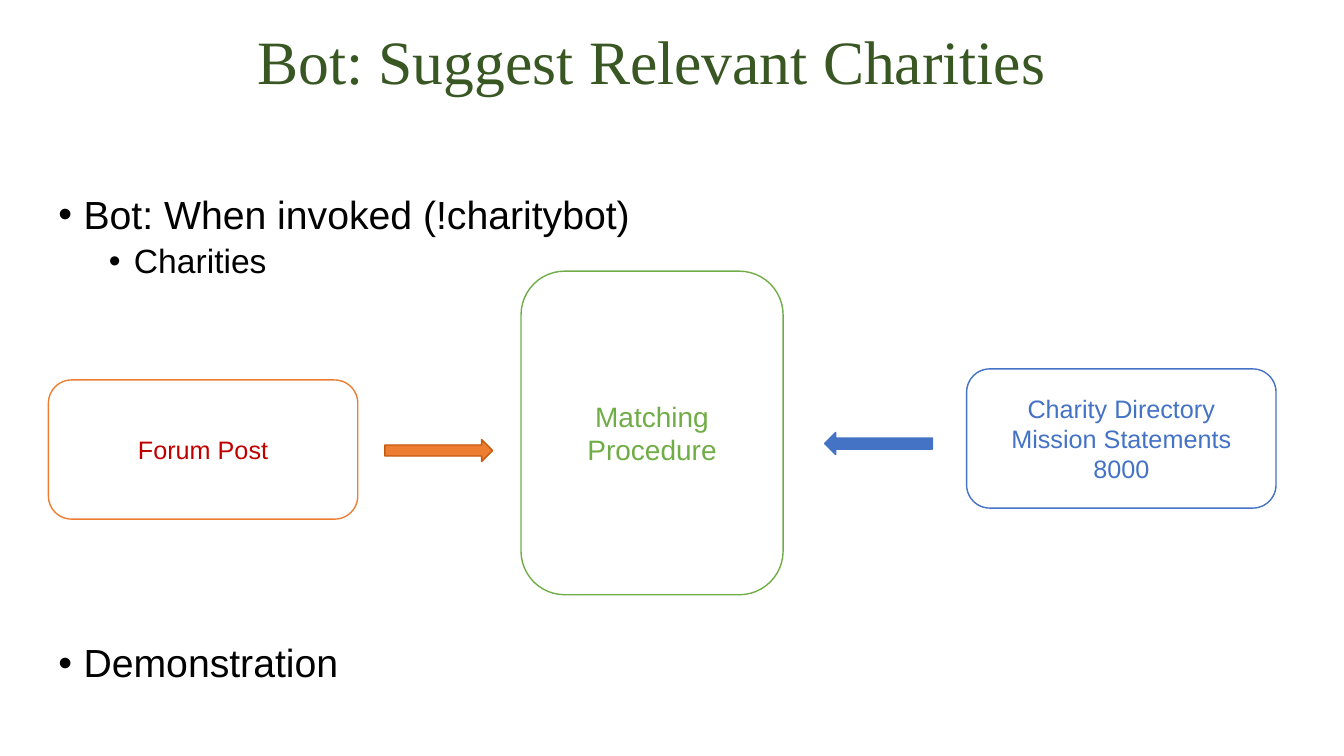
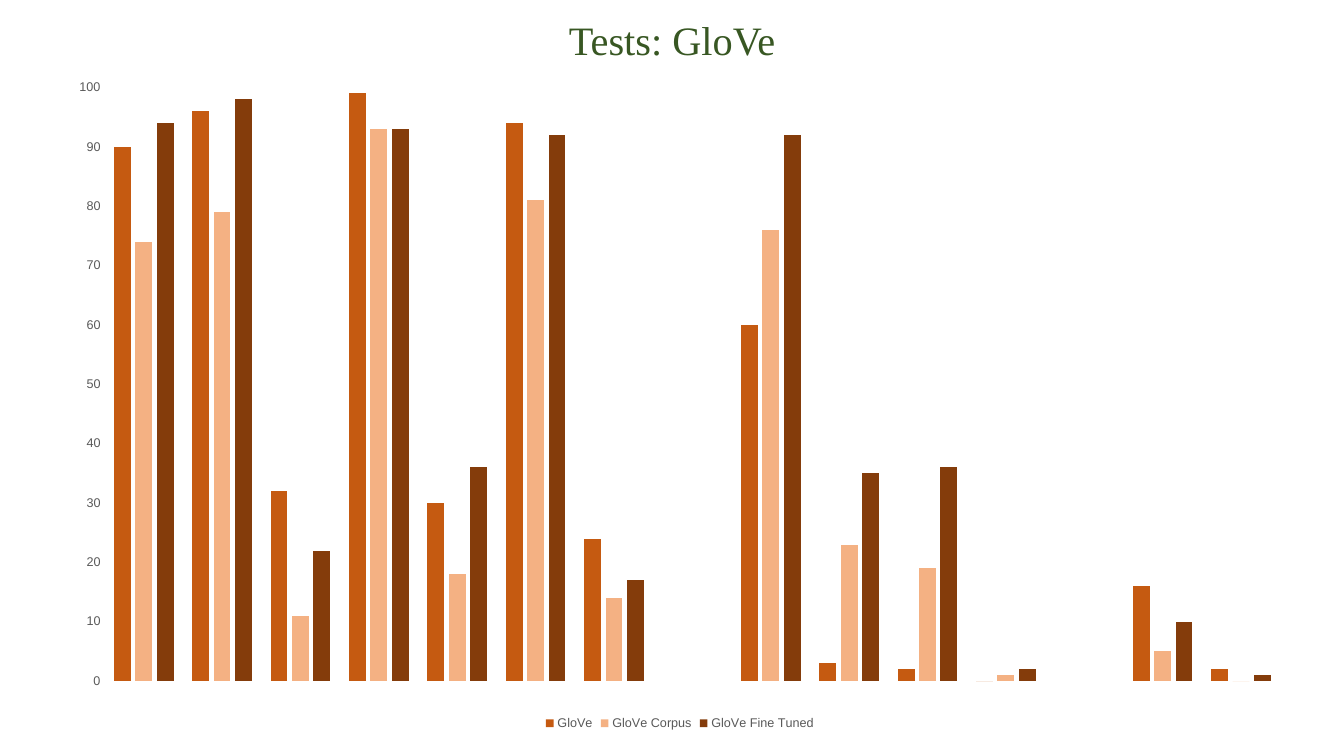
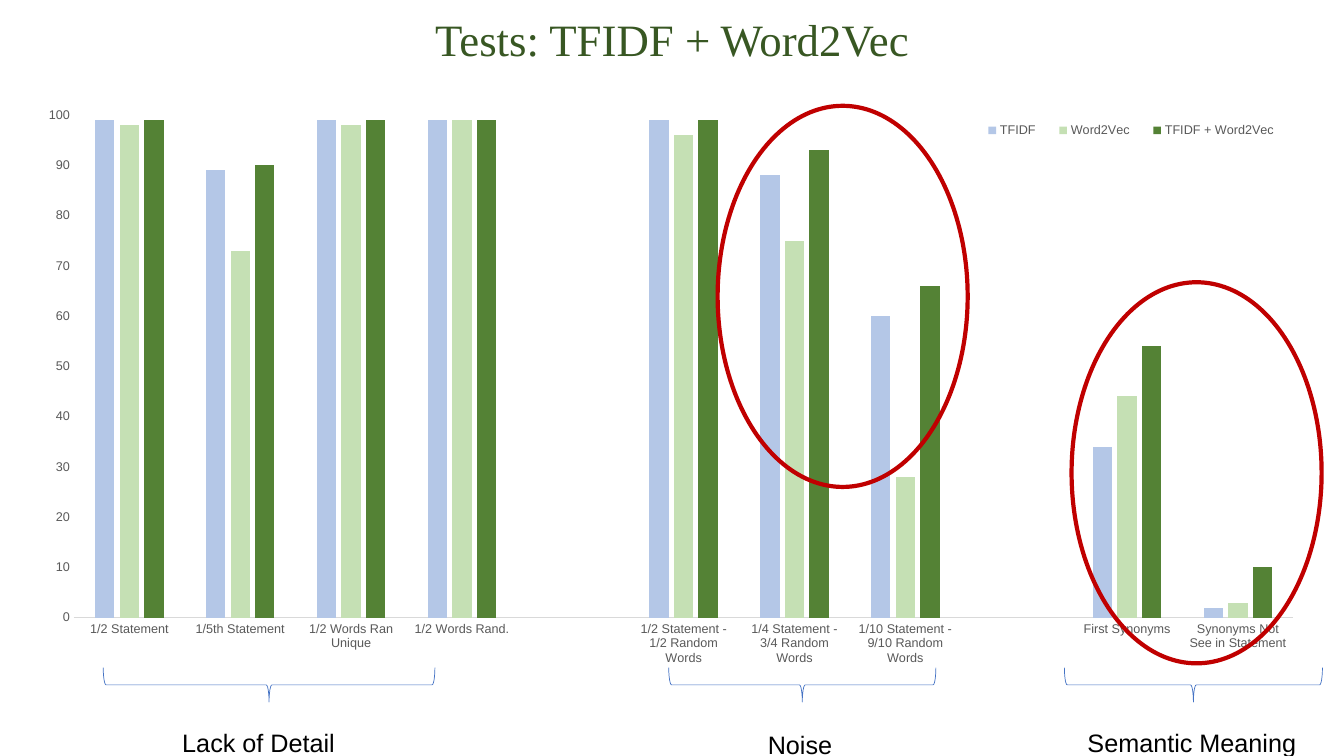
from lxml.etree import SubElement
from pptx import Presentation
from pptx.chart.data import CategoryChartData
from pptx.dml.color import RGBColor
from pptx.enum.chart import XL_CHART_TYPE, XL_LEGEND_POSITION, XL_TICK_MARK
from pptx.enum.shapes import MSO_SHAPE
from pptx.enum.text import MSO_ANCHOR, PP_ALIGN
from pptx.oxml import parse_xml
from pptx.oxml.ns import nsdecls, qn
from pptx.util import Pt

# Shared look
SANS, SERIF = "Arial", "Times New Roman"
BLACK, GREY, RULE, TITLE = "000000", "595959", "D9D9D9", "385723"
RED, ORANGE, DARK_ORANGE = "C00000", "ED7D31", "C55A11"
BLUE, GREEN, WHITE = "4472C4", "70AD47", "FFFFFF"

# Slide 1: text, level, space before
BULLETS = [
    ("Bot: When invoked (!charitybot)", 0, 0),
    ("Charities", 1, 5),
    ("Demonstration", 0, 259),
]
BULLET_STYLE = {0: (28, 18), 1: (24, 54)}  # text size, indent
FLOW_BOXES = [  # lines, place, fill, line, text colour, size
    (["Forum Post"], (34.6, 271.4, 221, 99.4), None, ORANGE, RED, 18),
    (["Charity Directory", "Mission Statements", "8000"],
     (690.5, 263.5, 221, 99.4), WHITE, BLUE, BLUE, 18),
    (["Matching", "Procedure"], (372.2, 193.7, 187.2, 231.1), None, GREEN, GREEN, 20),
]
FLOW_ARROWS = [  # place, fill, line, rotation
    ((275, 313.9, 77, 15.8), ORANGE, DARK_ORANGE, 0),
    ((589, 308.9, 77, 15.8), BLUE, BLUE, 180),
]

# Slides 2 and 3: charts
GLOVE = {
    "place": (38.9, 48.2, 893.5, 476.6),
    "categories": [str(number) for number in range(1, 16)],
    "series": [
        ("GloVe", "C55A11", [90, 96, 32, 99, 30, 94, 24, None, 60, 3, 2, 0, None, 16, 2]),
        ("GloVe Corpus", "F4B183",
         [74, 79, 11, 93, 18, 81, 14, None, 76, 23, 19, 1, None, 5, 0]),
        ("GloVe Fine Tuned", "843C0B",
         [94, 98, 22, 93, 36, 92, 17, None, 92, 35, 36, 2, None, 10, 1]),
    ],
    "gap": 111, "show_categories": False,
    "plot_area": (0.04, 0.03, 0.94, 0.89), "legend_area": None,
}
WORD2VEC = {
    "place": (15.8, 69.1, 926.6, 437.8),
    "categories": [
        "1/2 Statement", "1/5th Statement", "1/2 Words Ran Unique", "1/2 Words Rand.", "",
        "1/2 Statement - 1/2 Random Words", "1/4 Statement - 3/4 Random Words",
        "1/10 Statement - 9/10 Random Words", "",
        "First Synonyms", "Synonyms Not See in Statement"],
    "series": [
        ("TFIDF", "B4C7E7", [99, 89, 99, 99, None, 99, 88, 60, None, 34, 2]),
        ("Word2Vec", "C5E0B4", [98, 73, 98, 99, None, 96, 75, 28, None, 44, 3]),
        ("TFIDF + Word2Vec", "548235", [99, 90, 99, 99, None, 99, 93, 66, None, 54, 10]),
    ],
    "gap": 219, "show_categories": True,
    "plot_area": (0.04, 0.03, 0.94, 0.82), "legend_area": (0.73, 0.03, 0.25, 0.05),
}
BRACE_MIDDLE, BRACE_DEPTH = 489.2, 24.5
GROUPS = [  # label, label place, brace centre, brace length
    ("Lack of Detail", (123.1, 516.2, 167.8, 28.8), 192.2, 236.9),
    ("Noise", (541.4, 517.7, 64, 28.8), 573.1, 190.8),
    ("Semantic Meaning", (769.7, 516.2, 170, 28.8), 852.5, 184.3),
]
HIGHLIGHTS = [(512.6, 75.6), (765.4, 201.6)]
HIGHLIGHT_SIZE = (178.6, 272.2)


def color(value):
    return RGBColor.from_string(value)


def points(place):
    return [Pt(length) for length in place]


def style_font(font, size, ink, name=SANS):
    font.size, font.name, font.color.rgb = Pt(size), name, color(ink)


def write(para, text, size, ink, name=SANS):
    span = para.add_run()
    span.text = text
    style_font(span.font, size, ink, name)


def add_text(page, place):
    frame = page.shapes.add_textbox(*points(place)).text_frame
    frame.word_wrap = True
    return frame


def add_title(page, text, size, place=(66.2, 12.2, 828, 36)):
    frame = add_text(page, place)
    frame.vertical_anchor = MSO_ANCHOR.MIDDLE
    para = frame.paragraphs[0]
    para.alignment, para.line_spacing = PP_ALIGN.CENTER, 0.9
    write(para, text, size, TITLE, SERIF)


def add_shape(page, kind, place, line, weight=1, fill=None, rotation=0):
    shape = page.shapes.add_shape(kind, *points(place))
    shape.shadow.inherit = False
    shape.rotation = rotation
    if fill:
        shape.fill.solid()
        shape.fill.fore_color.rgb = color(fill)
    else:
        shape.fill.background()
    shape.line.color.rgb = color(line)
    shape.line.width = Pt(weight)
    return shape


def paragraphs_for(frame, items):
    """Pair each item with a paragraph of the frame."""
    for index, item in enumerate(items):
        yield (frame.add_paragraph() if index else frame.paragraphs[0]), item


def add_bullets(page, place):
    for para, (text, level, before) in paragraphs_for(add_text(page, place), BULLETS):
        size, indent = BULLET_STYLE[level]
        para.level, para.line_spacing, para.space_before = level, 0.9, Pt(before)
        props = para._p.get_or_add_pPr()
        props.set("marL", str(Pt(indent)))
        props.set("indent", str(Pt(-18)))
        SubElement(props, qn("a:buFont")).set("typeface", SANS)
        SubElement(props, qn("a:buChar")).set("char", "•")
        write(para, text, size, BLACK)


def set_area(parent, index, area):
    """Fix the place of a plot or legend as fractions of its chart."""
    for old in parent.findall(qn("c:layout")):
        parent.remove(old)
    target = '<c:layoutTarget val="inner"/>' if index == 0 else ""
    modes = '<c:xMode val="edge"/><c:yMode val="edge"/>'
    sizes = "".join(f'<c:{key} val="{value}"/>' for key, value in zip("xywh", area))
    parent.insert(index, parse_xml(
        f'<c:layout {nsdecls("c")}><c:manualLayout>{target}{modes}{sizes}'
        "</c:manualLayout></c:layout>"))


def add_bar_chart(page, content):
    data = CategoryChartData()
    data.categories = content["categories"]
    for name, _, values in content["series"]:
        data.add_series(name, values)
    chart = page.shapes.add_chart(
        XL_CHART_TYPE.COLUMN_CLUSTERED, *points(content["place"]), data).chart
    style_font(chart.font, 10, BLACK)
    chart.has_title = False

    # Bars
    plot = chart.plots[0]
    plot.gap_width, plot.overlap, plot.vary_by_categories = content["gap"], -27, False
    for series, (_, ink, _) in zip(plot.series, content["series"]):
        series.format.fill.solid()
        series.format.fill.fore_color.rgb = color(ink)
    set_area(plot._element.getparent(), 0, content["plot_area"])

    # Axes
    for axis in (chart.category_axis, chart.value_axis):
        axis.has_major_gridlines = False
        axis.major_tick_mark = axis.minor_tick_mark = XL_TICK_MARK.NONE
        style_font(axis.tick_labels.font, 9, GREY)
    chart.category_axis.visible = content["show_categories"]
    chart.category_axis.format.line.color.rgb = color(RULE)
    chart.category_axis.format.line.width = Pt(0.75)
    values = chart.value_axis
    values.minimum_scale, values.maximum_scale, values.major_unit = 0, 100, 10
    values.format.line.fill.background()

    # Legend
    chart.has_legend = True
    legend = chart.legend
    legend.position, legend.include_in_layout = XL_LEGEND_POSITION.BOTTOM, False
    style_font(legend.font, 9, GREY)
    if content["legend_area"]:
        set_area(legend._element, 1, content["legend_area"])


def build_bot(page):
    add_title(page, "Bot: Suggest Relevant Charities", 44, (51.8, 9.4, 828, 72.7))
    add_bullets(page, (34.6, 136.2, 898.6, 360))
    for lines, place, fill, line, ink, size in FLOW_BOXES:
        box = add_shape(page, MSO_SHAPE.ROUNDED_RECTANGLE, place, line, fill=fill)
        box.text_frame.vertical_anchor = MSO_ANCHOR.MIDDLE
        for para, text in paragraphs_for(box.text_frame, lines):
            para.alignment = PP_ALIGN.CENTER
            write(para, text, size, ink)
    for place, fill, line, rotation in FLOW_ARROWS:
        add_shape(page, MSO_SHAPE.RIGHT_ARROW, place, line, fill=fill, rotation=rotation)


def build_glove(page):
    add_title(page, "Tests: GloVe", 28.8)
    add_bar_chart(page, GLOVE)


def build_word2vec(page):
    add_title(page, "Tests: TFIDF + Word2Vec", 32)
    add_bar_chart(page, WORD2VEC)
    for label, place, centre, length in GROUPS:
        brace = (centre - BRACE_DEPTH / 2, BRACE_MIDDLE - length / 2, BRACE_DEPTH, length)
        add_shape(page, MSO_SHAPE.LEFT_BRACE, brace, BLUE, 0.5, rotation=270)
        write(add_text(page, place).paragraphs[0], label, 18, BLACK)
    for corner in HIGHLIGHTS:
        add_shape(page, MSO_SHAPE.OVAL, corner + HIGHLIGHT_SIZE, RED, 3)


def main():
    deck = Presentation()
    deck.slide_width, deck.slide_height = Pt(960), Pt(540)
    for build in (build_bot, build_glove, build_word2vec):
        build(deck.slides.add_slide(deck.slide_layouts[6]))
    deck.save("out.pptx")


if __name__ == "__main__":
    main()
